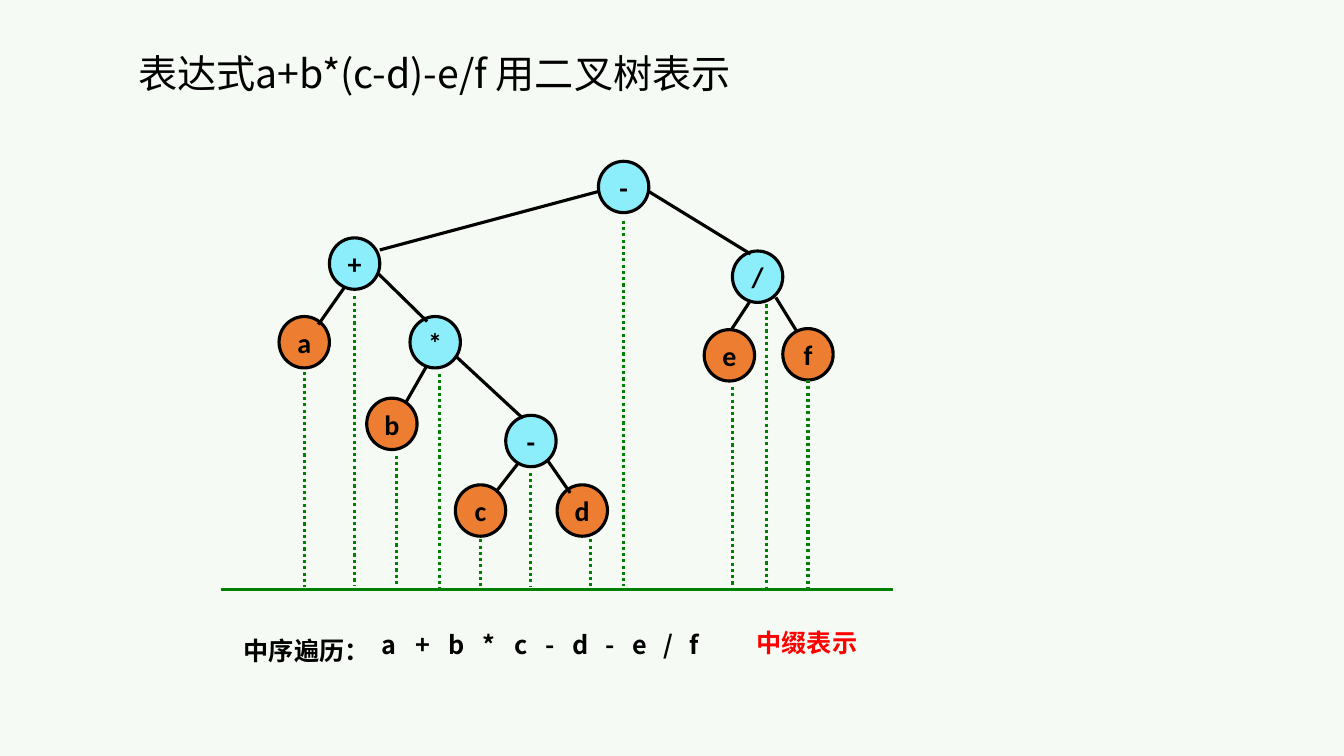
"""Slide showing an arithmetic expression as a binary tree with its in-order traversal."""
from lxml import etree
from pptx import Presentation
from pptx import util as u
from pptx.dml.color import RGBColor
from pptx.enum import dml, shapes, text
from pptx.oxml import ns

PX = 9144
CJK = "Noto Sans CJK SC"
BLACK, GREEN, RED = "000000", "008000", "FF0000"
OPERATOR, OPERAND = "8DEEFB", "ED7D31"
IN_ORDER = "a+b*c-d-e/f"
NODE_W, NODE_H = 50, 51
NODES = [(0, 154), (50, 76), (87, 235), (130, 154), (175, 321), (225, 252),
         (276, 321), (317, 0), (422, 167), (450, 89), (500, 166)]
EDGES = [(317, 30, 100, 88), (367, 30, 468, 92), (65, 125, 39, 162),
         (99, 112, 147, 159), (146, 204, 126, 239), (175, 193, 242, 255),
         (237, 300, 216, 327), (266, 296, 289, 329), (468, 138, 449, 167),
         (493, 135, 514, 169)]
DROPS = [(83, 150, 363), (133, 75, 362), (175, 233, 363), (217, 152, 364),
         (258, 316, 366), (308, 250, 362), (367, 316, 362), (400, 0, 362),
         (508, 165, 365), (542, 83, 366), (583, 158, 366)]
LETTERS = [(137, 35), (170, 35), (203, 36), (237, 33), (269, 33), (300, 29),
           (326, 36), (360, 28), (386, 35), (416, 30), (442, 29)]


def px(*lengths):
    """Turn pixel lengths into EMU."""
    return [u.Emu(n * PX) for n in lengths]


def color(value):
    """Turn a hex string into a colour."""
    return RGBColor.from_string(value)


def write(sp, content, font=CJK, size=18, fill=BLACK, bold=True,
          align=text.PP_ALIGN.CENTER, anchor=text.MSO_ANCHOR.MIDDLE,
          wrap=False, spacing=None):
    """Put formatted text into a shape."""
    tf = sp.text_frame
    tf.auto_size = text.MSO_AUTO_SIZE.NONE
    tf.word_wrap, tf.vertical_anchor = wrap, anchor
    p = tf.paragraphs[0]
    p.alignment, p.line_spacing = align, spacing
    r = p.add_run()
    r.text = content
    r.font.size, r.font.bold = u.Pt(size), bold
    r.font.color.rgb = color(fill)
    r.font.name = font
    etree.SubElement(r._r.get_or_add_rPr(), ns.qn("a:ea"), typeface=CJK)


def add_text(s, box, content, **style):
    """Add a text box with formatted text."""
    write(s.shapes.add_textbox(*px(*box)), content, **style)


def add_line(s, x1, y1, x2, y2, stroke, dash=None):
    """Add a straight line without a shadow."""
    ln = s.shapes.add_connector(shapes.MSO_CONNECTOR.STRAIGHT, *px(x1, y1, x2, y2))
    ln.line.color.rgb = color(stroke)
    ln.line.width = u.Pt(2.25)
    if dash:
        ln.line.dash_style = dash
    etree.SubElement(ln._element.spPr, ns.qn("a:effectLst"))


def add_title(s, box, content):
    """Place and format the slide title."""
    sp = s.shapes.title
    sp.left, sp.top, sp.width, sp.height = px(*box)
    write(sp, content, size=28, bold=False, align=text.PP_ALIGN.LEFT,
          anchor=text.MSO_ANCHOR.BOTTOM, wrap=True, spacing=0.9)


def add_tree(s, left, top):
    """Draw the tree nodes and their edges."""
    for symbol, (x, y) in zip(IN_ORDER, NODES):
        sp = s.shapes.add_shape(shapes.MSO_SHAPE.OVAL,
                                *px(left + x, top + y, NODE_W, NODE_H))
        sp.shadow.inherit = False
        sp.fill.solid()
        sp.fill.fore_color.rgb = color(OPERAND if symbol.isalpha() else OPERATOR)
        sp.line.color.rgb = color(BLACK)
        sp.line.width = u.Pt(2.25)
        write(sp, symbol, font="Calibri", size=20)
    for x1, y1, x2, y2 in EDGES:
        add_line(s, left + x1, top + y1, left + x2, top + y2, BLACK)


def add_projection(s, left, top, width, height):
    """Draw the dotted drops from the nodes and the base line."""
    for x, start, end in DROPS:
        add_line(s, left + x, top + start, left + x, top + end, GREEN,
                 dml.MSO_LINE.ROUND_DOT)
    add_line(s, left, top + height, left + width, top + height, GREEN)


def add_traversal(s, left, top):
    """Write the traversal heading, its symbols and the notation name."""
    add_text(s, (left, top + 8, 145, 40), "中序遍历：", align=text.PP_ALIGN.LEFT)
    for symbol, (x, width) in zip(IN_ORDER, LETTERS):
        add_text(s, (left + x, top + 2, width, 40), symbol)
    add_text(s, (left + 509, top, 242, 40), "中缀表示", font="Cabin", fill=RED,
             align=text.PP_ALIGN.LEFT, anchor=text.MSO_ANCHOR.TOP, wrap=True)


def main():
    """Build and save the slide."""
    prs = Presentation()
    prs.slide_width, prs.slide_height = px(1334, 750)
    s = prs.slides.add_slide(prs.slide_layouts[5])
    s.background.fill.solid()
    s.background.fill.fore_color.rgb = color("F6FAF4")
    add_title(s, (127, 44, 852, 57), "表达式a+b*(c-d)-e/f 用二叉树表示")
    add_tree(s, 277, 160)
    add_projection(s, 219, 219, 667, 366)
    add_traversal(s, 232, 617)
    prs.save("out.pptx")


if __name__ == "__main__":
    main()
